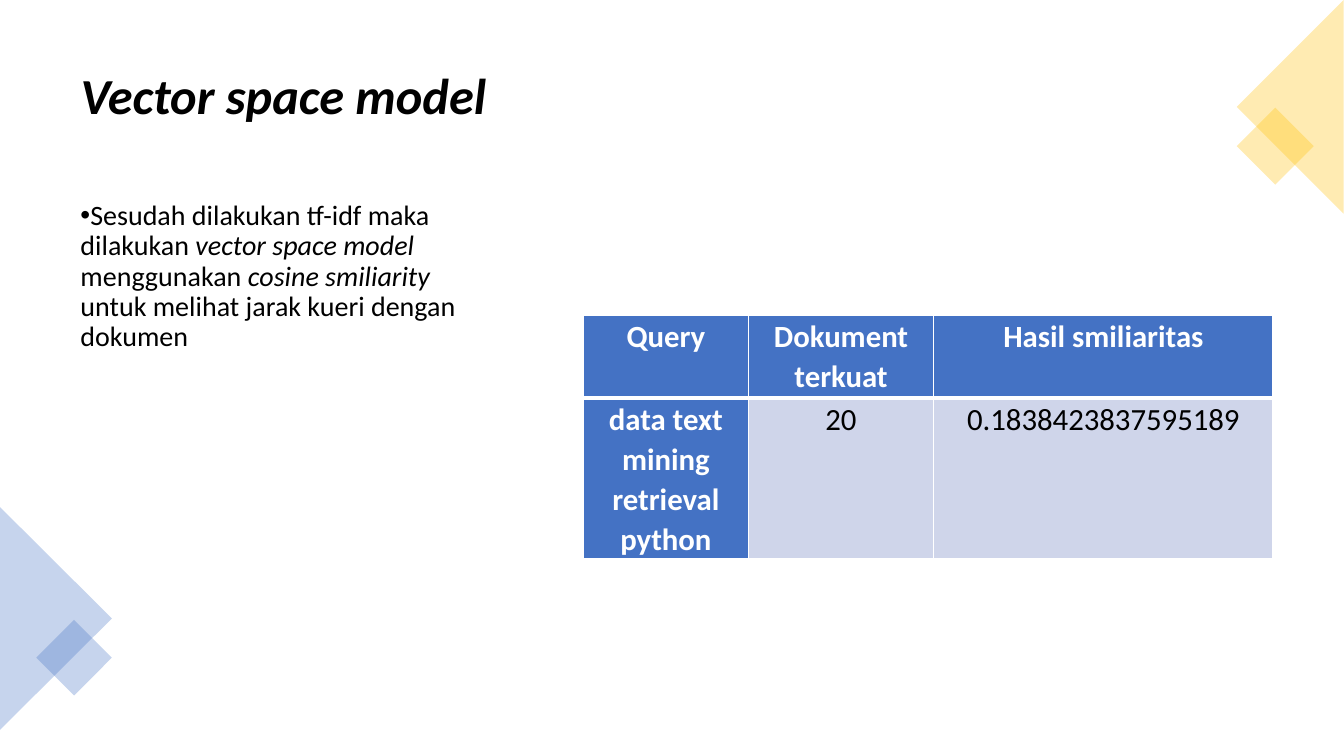
"""Build the vector space model slide with its result table."""
from dataclasses import dataclass

from lxml import etree
from pptx import Presentation
from pptx import util as u
from pptx.dml import color
from pptx.enum import shapes, text
from pptx.oxml import ns

FONT = "Calibri"
BLACK, WHITE = "000000", "FFFFFF"
BLUE, YELLOW, PALE_BLUE = "4472C4", "FFC000", "CFD5EA"


@dataclass(frozen=True)
class Ornament:
    kind: shapes.MSO_SHAPE
    left: float
    top: float
    width: float
    height: float
    rotation: float
    fill: str


@dataclass(frozen=True)
class Phrase:
    wording: str
    italic: bool = False


TRIANGLE = shapes.MSO_SHAPE.ISOSCELES_TRIANGLE
SQUARE = shapes.MSO_SHAPE.RECTANGLE
ORNAMENTS = (
    Ornament(TRIANGLE, -39.6, 401.8, 159.1, 79.9, 90, BLUE),
    Ornament(SQUARE, 33.8, 450.7, 38.2, 38.2, 45, BLUE),
    Ornament(SQUARE, 891.4, 85, 38.9, 38.9, 45, YELLOW),
    Ornament(TRIANGLE, 845.3, 38.2, 152.6, 76.3, 270, YELLOW),
)
EXPLANATION = (
    Phrase("Sesudah dilakukan tf-idf maka dilakukan "),
    Phrase("vector space model ", italic=True),
    Phrase("menggunakan "),
    Phrase("cosine smiliarity", italic=True),
    Phrase(" untuk melihat jarak kueri dengan dokumen"),
)
RESULTS = (
    ("Query", "Dokument terkuat", "Hasil smiliaritas"),
    ("data text mining retrieval python", "20", "0.1838423837595189"),
)
COLUMN_WIDTHS = (117.5, 132.7, 242.2)
ROW_HEIGHTS = (59, 114.5)


def rgb(value: str) -> color.RGBColor:
    return color.RGBColor.from_string(value)


def format_paragraph(paragraph, size: float, fill: str, spacing: float,
                     after: float, alignment, bold: bool = False) -> None:
    paragraph.line_spacing = spacing
    paragraph.space_before = u.Pt(0)
    paragraph.space_after = u.Pt(after)
    paragraph.alignment = alignment
    for run in paragraph.runs:
        run.font.name = FONT
        run.font.size = u.Pt(size)
        run.font.bold = bold
        run.font.color.rgb = rgb(fill)


def add_title(slide) -> None:
    title = slide.shapes.title
    title.left, title.top = u.Pt(50.4), u.Pt(25.2)
    title.width, title.height = u.Pt(859), u.Pt(89.3)
    frame = title.text_frame
    frame.text = "Vector space model"
    frame.auto_size = text.MSO_AUTO_SIZE.NONE
    frame.vertical_anchor = text.MSO_ANCHOR.MIDDLE
    paragraph = frame.paragraphs[0]
    format_paragraph(paragraph, 36, BLACK, 0.9, 6, text.PP_ALIGN.LEFT, bold=True)
    paragraph.runs[0].font.italic = True


def add_explanation(slide) -> None:
    shape = slide.shapes.add_textbox(u.Pt(50.4), u.Pt(140.4), u.Pt(315.4), u.Pt(346.3))
    shape.text_frame.word_wrap = True
    paragraph = shape.text_frame.paragraphs[0]
    for phrase in EXPLANATION:
        run = paragraph.add_run()
        run.text = phrase.wording
        run.font.italic = phrase.italic
    format_paragraph(paragraph, 20, BLACK, 0.9, 6, text.PP_ALIGN.LEFT)
    properties = paragraph._p.get_or_add_pPr()
    properties.set("marL", "0")
    properties.set("indent", str(u.Pt(-18)))
    etree.SubElement(properties, ns.qn("a:buFont"), typeface="Arial")
    etree.SubElement(properties, ns.qn("a:buChar"), char="•")


def add_ornament(slide, ornament: Ornament) -> None:
    shape = slide.shapes.add_shape(
        ornament.kind, u.Pt(ornament.left), u.Pt(ornament.top),
        u.Pt(ornament.width), u.Pt(ornament.height))
    shape.rotation = ornament.rotation
    shape.shadow.inherit = False
    shape.line.fill.background()
    shape.fill.solid()
    shape.fill.fore_color.rgb = rgb(ornament.fill)
    for tint in shape._element.spPr.iterfind(".//" + ns.qn("a:srgbClr")):
        etree.SubElement(tint, ns.qn("a:alpha"), val="30000")


def add_border(cell, side: str, width: float) -> None:
    line = etree.SubElement(cell._tc.get_or_add_tcPr(), ns.qn(f"a:ln{side}"),
                            w=str(u.Pt(width)))
    solid = etree.SubElement(line, ns.qn("a:solidFill"))
    etree.SubElement(solid, ns.qn("a:srgbClr"), val=WHITE)


def format_cell(cell, wording: str, row: int, column: int) -> None:
    heading = row == 0 or column == 0
    cell.margin_left = cell.margin_right = u.Pt(9.4)
    cell.margin_top = cell.margin_bottom = u.Pt(0)
    cell.text_frame.text = wording
    format_paragraph(cell.text_frame.paragraphs[0], 22, WHITE if heading else BLACK,
                     1.07, 8, text.PP_ALIGN.CENTER, bold=heading)
    widths = {"L": 1, "R": 1, "T": 1 if row == 0 else 3, "B": 3 if row == 0 else 1}
    for side, width in widths.items():
        add_border(cell, side, width)
    cell.fill.solid()
    cell.fill.fore_color.rgb = rgb(BLUE if heading else PALE_BLUE)


def add_results(slide) -> None:
    table = slide.shapes.add_table(
        len(RESULTS), len(COLUMN_WIDTHS), u.Pt(416.9), u.Pt(225.4),
        u.Pt(sum(COLUMN_WIDTHS)), u.Pt(sum(ROW_HEIGHTS))).table
    for column, width in zip(table.columns, COLUMN_WIDTHS):
        column.width = u.Pt(width)
    for row, height in zip(table.rows, ROW_HEIGHTS):
        row.height = u.Pt(height)
    for row_index, wordings in enumerate(RESULTS):
        for column_index, wording in enumerate(wordings):
            format_cell(table.cell(row_index, column_index), wording,
                        row_index, column_index)


def main() -> None:
    presentation = Presentation()
    presentation.slide_width, presentation.slide_height = u.Pt(960), u.Pt(540)
    slide = presentation.slides.add_slide(presentation.slide_layouts[5])
    add_title(slide)
    add_explanation(slide)
    for ornament in ORNAMENTS:
        add_ornament(slide, ornament)
    add_results(slide)
    presentation.save("out.pptx")


if __name__ == "__main__":
    main()
